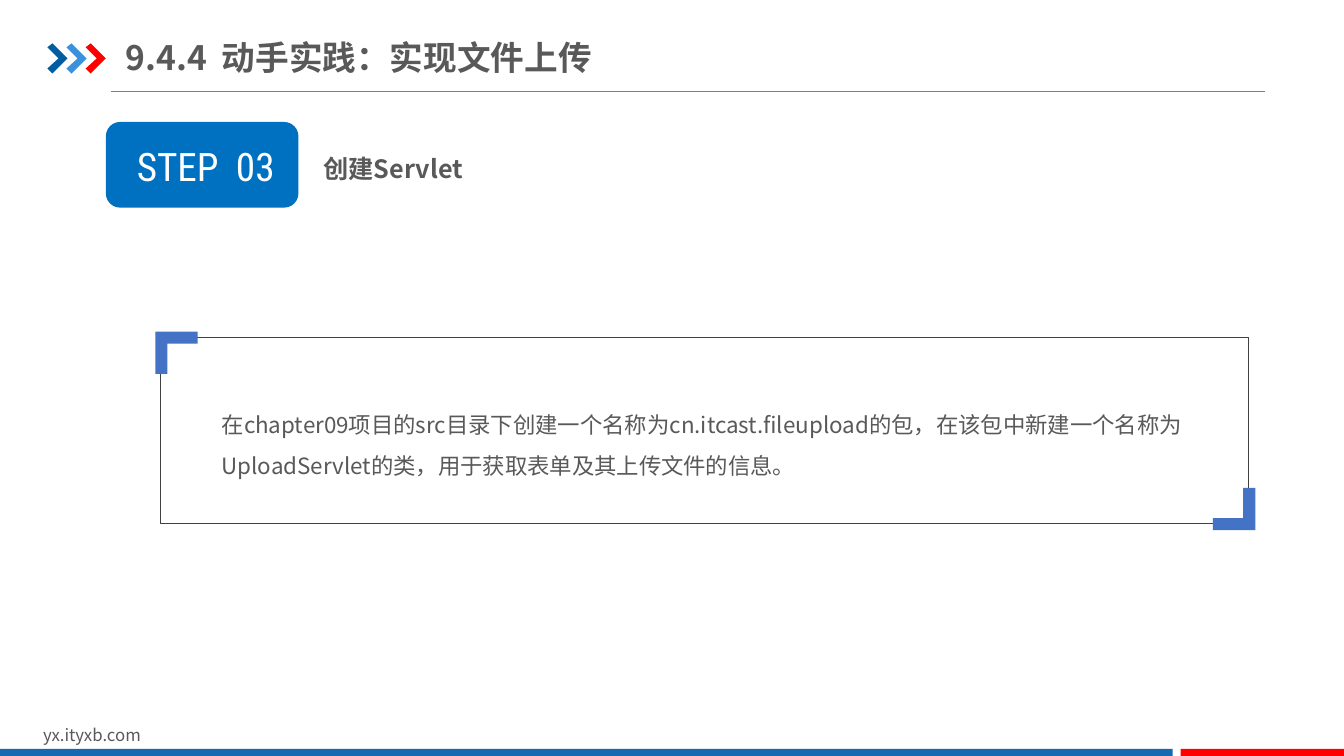
from lxml.etree import SubElement
from pptx import Presentation
from pptx.dml.color import RGBColor
from pptx.enum.shapes import MSO_CONNECTOR, MSO_SHAPE
from pptx.enum.text import MSO_ANCHOR, MSO_AUTO_SIZE, PP_ALIGN
from pptx.oxml.ns import qn
from pptx.util import Inches, Pt

COLORS = {
    "text": "595959", "white": "FFFFFF", "rule": "808080", "frame": "404040",
    "navy": "005DA2", "sky": "3992DB", "red": "FF0000",
    "footer": "1369B2", "badge": "0070C0", "corner": "4472C4",
}
SANS = "Noto Sans CJK SC"
CONDENSED = "Roboto Condensed"

TEXTS = [
    {"at": (0.33, 7.14, 3.18, 0.3), "runs": [("yx.ityxb.com", 0)], "size": 12},
    {"at": (1.15, 1.36, 1.78, 0.57), "runs": [("STEP", 0), (" ", 6), ("03", 0)],
     "size": 28, "font": CONDENSED, "color": "white", "align": PP_ALIGN.CENTER},
    {"at": (2.1, 3.9, 9.79, 0.91), "size": 16, "spacing": 1.5,
     "runs": [("在chapter09项目的src目录下创建一个名称为cn.itcast.fileupload的包，"
               "在该包中新建一个名称为UploadServlet的类，用于获取表单及其上传文件的信息。", 0)]},
    {"at": (1.25, 0.29, 4.93, 0.55), "size": 24, "bold": True, "title": True,
     "runs": [("9.4.4", 0), (" ", 5), ("动手实践：实现文件上传", 0)]},
    {"at": (3.11, 1.32, 2.18, 0.56), "runs": [("创建Servlet", 0)],
     "size": 18, "bold": True, "spacing": 1.5},
]
BLOCKS = [
    (MSO_SHAPE.RECTANGLE, (0, 7.43, 11.63, 0.07), "footer"),
    (MSO_SHAPE.RECTANGLE, (11.71, 7.43, 1.62, 0.07), "red"),
    (MSO_SHAPE.ROUNDED_RECTANGLE, (1.05, 1.21, 1.91, 0.85), "badge"),
]
FRAME = (1.59, 3.35, 10.79, 1.84)
CHEVRON = [(0, 0.04), (0.05, 0), (0.2, 0.15), (0.05, 0.3), (0, 0.25), (0.11, 0.15)]
CHEVRON_COLORS = ["navy", "sky", "red"]
CHEVRON_START, CHEVRON_STEP = (0.47, 0.43), 0.19
CORNER = [(0, 0), (0.42, 0), (0.42, 0.12), (0.12, 0.12), (0.12, 0.42), (0, 0.42)]
CORNERS = [(1.54, 3.29, 1), (12.45, 5.26, -1)]


def rgb(name):
    return RGBColor.from_string(COLORS[name])


def paint(shape, color):
    shape.shadow.inherit = False
    shape.fill.solid()
    shape.fill.fore_color.rgb = rgb(color)
    shape.line.fill.background()


def add_outline(page, points, left, top, color, direction=1):
    corners = [(Inches(left + direction * x), Inches(top + direction * y)) for x, y in points]
    builder = page.shapes.build_freeform(*corners[0])
    builder.add_line_segments(corners[1:], close=True)
    paint(builder.convert_to_shape(), color)


def add_block(page, kind, at, color):
    paint(page.shapes.add_shape(kind, *map(Inches, at)), color)


def add_frame(page):
    frame = page.shapes.add_shape(MSO_SHAPE.RECTANGLE, *map(Inches, FRAME))
    frame.shadow.inherit = False
    frame.fill.background()
    frame.line.color.rgb = rgb("frame")
    frame.line.width = Pt(0.25)


def add_rule(page):
    rule = page.shapes.add_connector(
        MSO_CONNECTOR.STRAIGHT, Inches(1.1), Inches(0.91), Inches(12.55), Inches(0.91))
    rule.line.color.rgb = rgb("rule")
    rule.line.width = Pt(0.5)
    SubElement(rule._element.spPr, qn("a:effectLst"))


def add_text(page, item):
    box = page.shapes.add_textbox(*map(Inches, item["at"]))
    frame = box.text_frame
    frame.word_wrap = True
    if item.get("title"):
        frame.vertical_anchor = MSO_ANCHOR.MIDDLE
        frame.margin_left = frame.margin_right = 0
        frame.margin_top = frame.margin_bottom = Inches(0.07)
    else:
        frame.auto_size = MSO_AUTO_SIZE.SHAPE_TO_FIT_TEXT
    para = frame.paragraphs[0]
    para.alignment = item.get("align")
    para.line_spacing = item.get("spacing")
    for text, tracking in item["runs"]:
        span = para.add_run()
        span.text = text
        span.font.size = Pt(item["size"])
        span.font.bold = item.get("bold", False)
        span.font.color.rgb = rgb(item.get("color", "text"))
        span.font.name = item.get("font", SANS)
        properties = span._r.get_or_add_rPr()
        SubElement(properties, qn("a:ea")).set("typeface", span.font.name)
        if tracking:
            properties.set("spc", str(tracking * 100))


def main():
    deck = Presentation()
    deck.slide_width, deck.slide_height = Inches(13.33), Inches(7.5)
    page = deck.slides.add_slide(deck.slide_layouts[6])
    add_rule(page)
    left, top = CHEVRON_START
    for index, color in enumerate(CHEVRON_COLORS):
        add_outline(page, CHEVRON, left + index * CHEVRON_STEP, top, color)
    for block in BLOCKS:
        add_block(page, *block)
    for item in TEXTS:
        add_text(page, item)
    add_frame(page)
    for left, top, direction in CORNERS:
        add_outline(page, CORNER, left, top, "corner", direction)
    deck.save("out.pptx")


if __name__ == "__main__":
    main()
